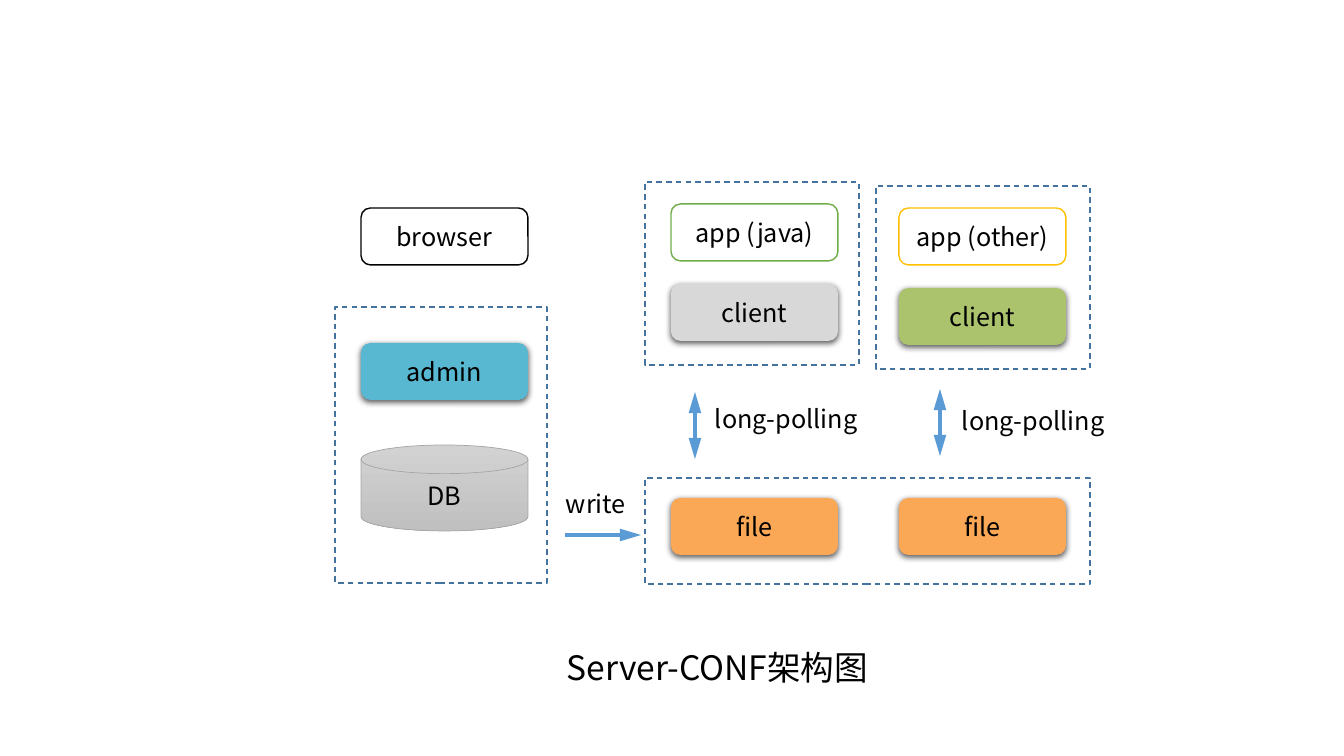
from lxml.etree import SubElement
from pptx import Presentation
from pptx.dml.color import RGBColor
from pptx.enum.dml import MSO_LINE
from pptx.enum.shapes import MSO_CONNECTOR, MSO_SHAPE
from pptx.enum.text import MSO_ANCHOR, MSO_AUTO_SIZE, PP_ALIGN
from pptx.oxml.ns import qn
from pptx.util import Pt

PX = 914400 / 100.8
FONT = "Noto Sans CJK SC"
BLACK = RGBColor(0x00, 0x00, 0x00)
WHITE = RGBColor(0xFF, 0xFF, 0xFF)
ORANGE = RGBColor(0xFA, 0xA7, 0x56)
TEAL = RGBColor(0x58, 0xB8, 0xD1)
LEAF = RGBColor(0xAB, 0xC3, 0x6C)
SILVER = RGBColor(0xD8, 0xD8, 0xD8)
JAVA_GREEN = RGBColor(0x70, 0xAD, 0x47)
GOLD = RGBColor(0xFF, 0xC0, 0x00)
FRAME_BLUE = RGBColor(0x43, 0x73, 0x9E)
ARROW_BLUE = RGBColor(0x5B, 0x9B, 0xD5)
DISK_TOP = RGBColor(0xD2, 0xD2, 0xD2)
DISK_BOTTOM = RGBColor(0xC0, 0xC0, 0xC0)
DISK_EDGE = RGBColor(0xA5, 0xA5, 0xA5)
NODE_W, NODE_H = 167, 57
NODE = MSO_SHAPE.FLOWCHART_ALTERNATE_PROCESS


def emu(*pixels):
    """Turn pixel lengths into EMU."""
    return [round(length * PX) for length in pixels]


def write(frame, words, size=18, align=PP_ALIGN.CENTER):
    """Put one styled paragraph into a text frame."""
    line = frame.paragraphs[0]
    line.text = words
    line.alignment = align
    line.font.name, line.font.size = FONT, Pt(size)
    line.font.color.rgb = BLACK
    SubElement(line._p.pPr.find(qn("a:defRPr")), qn("a:ea"), typeface=FONT)


def add_label(slide, box, words, size=18, align=PP_ALIGN.LEFT):
    """Add free text that stays on one line."""
    frame = slide.shapes.add_textbox(*emu(*box)).text_frame
    frame.word_wrap = False
    frame.auto_size = MSO_AUTO_SIZE.SHAPE_TO_FIT_TEXT
    write(frame, words, size, align)


def add_outline(shape, color, width=1):
    """Give a shape a solid outline."""
    shape.line.color.rgb = color
    shape.line.width = Pt(width)


def add_soft_shadow(shape):
    """Drop a blurred shadow straight below a shape."""
    effects = shape._element.spPr.find(qn("a:effectLst"))
    shadow = SubElement(effects, qn("a:outerShdw"), blurRad=str(Pt(4.5)),
                        dist=str(Pt(1.5)), dir="5400000", rotWithShape="0")
    tint = SubElement(shadow, qn("a:srgbClr"), val=str(BLACK))
    SubElement(tint, qn("a:alpha"), val="63000")


def add_node(slide, left, top, words, fill=WHITE, edge=None, kind=NODE, height=NODE_H):
    """Add a component: outlined when it has an edge colour, else shadowed."""
    node = slide.shapes.add_shape(kind, *emu(left, top, NODE_W, height))
    node.shadow.inherit = False
    node.fill.solid()
    node.fill.fore_color.rgb = fill
    if edge is None:
        node.line.fill.background()
        add_soft_shadow(node)
    else:
        add_outline(node, edge)
    node.text_frame.vertical_anchor = MSO_ANCHOR.MIDDLE
    write(node.text_frame, words)
    return node


def add_frame(slide, box):
    """Add the dashed border around a group of components."""
    border = slide.shapes.add_shape(MSO_SHAPE.RECTANGLE, *emu(*box))
    border.shadow.inherit = False
    border.fill.background()
    add_outline(border, FRAME_BLUE)
    border.line.dash_style = MSO_LINE.DASH


def add_arrow(slide, start, end, both=False):
    """Add an arrow pointing at its end, or at both ends."""
    arrow = slide.shapes.add_connector(MSO_CONNECTOR.STRAIGHT, *emu(*start, *end))
    add_outline(arrow, ARROW_BLUE, 3)
    line = arrow.line._get_or_add_ln()
    for tip in ("a:headEnd", "a:tailEnd") if both else ("a:tailEnd",):
        SubElement(line, qn(tip), type="triangle", w="med", len="lg")
    SubElement(arrow._element.spPr, qn("a:effectLst"))


def add_admin_side(slide, box):
    """Draw the browser above the frame that holds admin and DB."""
    left, top = box[0] + 26, box[1]
    add_frame(slide, box)
    add_node(slide, left, top - 99, "browser", edge=BLACK)
    add_node(slide, left, top + 36, "admin", TEAL, kind=MSO_SHAPE.ROUNDED_RECTANGLE)
    disk = add_node(slide, left, top + 138, "DB", edge=DISK_EDGE,
                    kind=MSO_SHAPE.FLOWCHART_MAGNETIC_DISK, height=86)
    disk.line.width = Pt(0.5)
    disk.fill.gradient()
    disk.fill.gradient_angle = 270
    for stop, color in zip(disk.fill.gradient_stops, (DISK_TOP, DISK_BOTTOM)):
        stop.color.rgb = color


def add_app(slide, box, words, edge, client_fill, pad, arrow, label):
    """Draw an app with its client, and the polling arrow and label below."""
    left, top = box[:2]
    add_frame(slide, box)
    add_node(slide, left + pad, top + 22, words, edge=edge)
    add_node(slide, left + pad, top + 102, "client", client_fill)
    x, y = left + arrow[0], top + arrow[1]
    add_arrow(slide, (x, y), (x, y + 67), both=True)
    add_label(slide, (left + label[0], top + label[1], 171, 40), "long-polling")


def add_file_store(slide, box):
    """Draw the file frame and the write arrow that leads to it."""
    left, top = box[:2]
    add_frame(slide, box)
    for offset in (26, 254):
        add_node(slide, left + offset, top + 20, "file", ORANGE)
    add_arrow(slide, (left - 80, top + 57), (left - 4, top + 57))
    add_label(slide, (left - 89, top + 5, 81, 40), "write")


def build():
    """Build the architecture slide and save it."""
    deck = Presentation()
    deck.slide_width, deck.slide_height = emu(1344, 756)
    slide = deck.slides.add_slide(deck.slide_layouts[6])
    add_admin_side(slide, (335, 307, 212, 276))
    add_app(slide, (645, 182, 214, 183), "app (java)", JAVA_GREEN, SILVER,
            pad=26, arrow=(50, 210), label=(60, 216))
    add_app(slide, (876, 186, 214, 183), "app (other)", GOLD, LEAF,
            pad=23, arrow=(64, 203), label=(76, 214))
    add_file_store(slide, (645, 478, 445, 106))
    add_label(slide, (546, 642, 343, 50), "Server-CONF架构图", 24, PP_ALIGN.CENTER)
    deck.save("out.pptx")


build()
